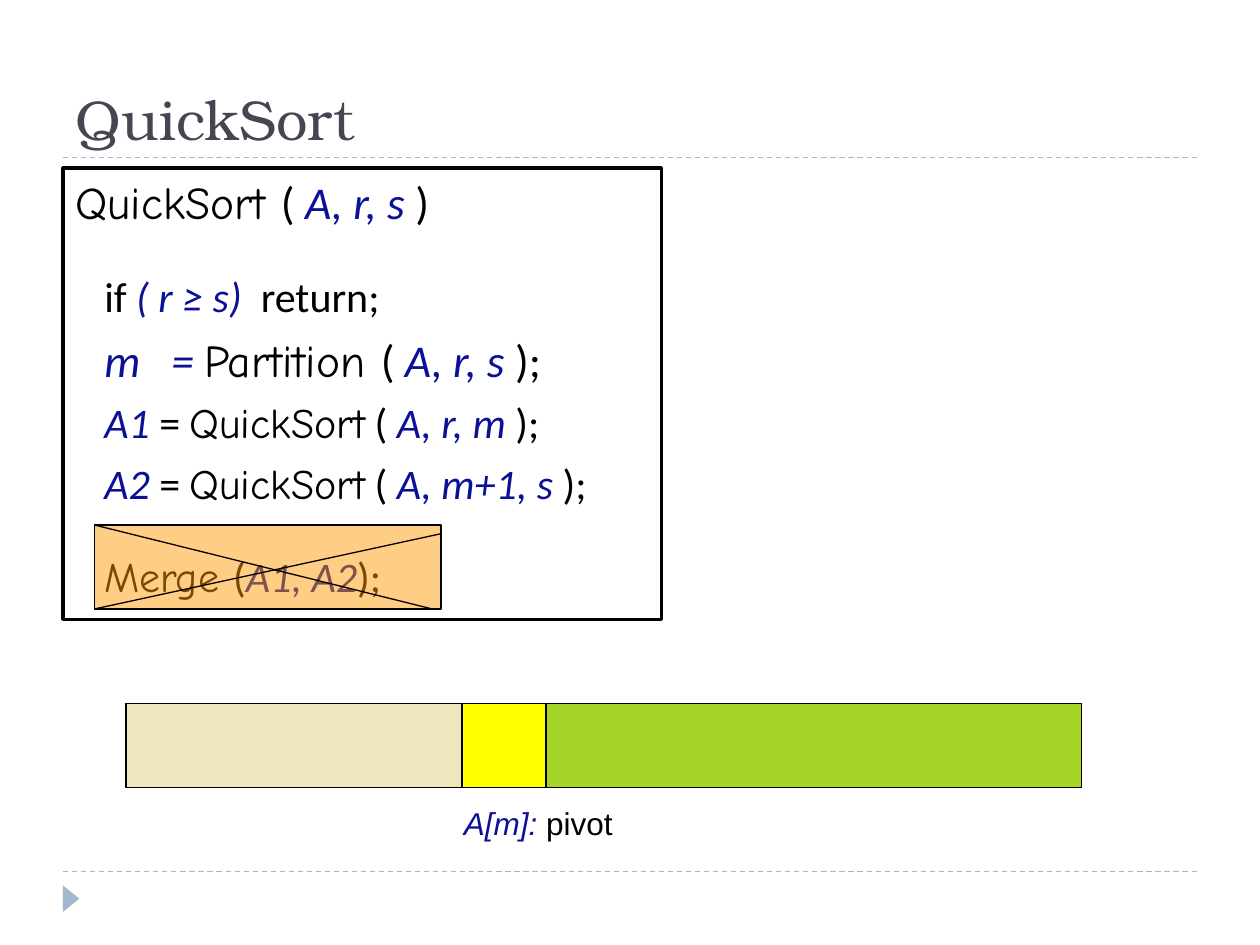
from dataclasses import dataclass

from lxml.etree import SubElement
from pptx import Presentation
from pptx.dml.color import RGBColor
from pptx.enum.dml import MSO_LINE
from pptx.enum.shapes import MSO_CONNECTOR, MSO_SHAPE
from pptx.enum.text import MSO_ANCHOR
from pptx.oxml.ns import qn
from pptx.util import Pt


@dataclass(frozen=True)
class Theme:
    """Colours, fonts and type sizes of the slide."""
    ink: str = "000000"
    heading: str = "464653"
    variable: str = "0B1196"
    rule: str = "9FB8CD"
    whole: str = "CCFFCC"
    smaller: str = "FFCC99"
    pivot: str = "FFFF00"
    larger: str = "99CC00"
    crossed: str = "FF9900"
    heading_font: str = "TeX Gyre Bonum"
    name_font: str = "Comic Neue"
    code_font: str = "Calibri"
    label_font: str = "Arial"
    heading_size: int = 32
    large_size: int = 26
    code_size: int = 24
    label_size: int = 18


THEME = Theme()
INDENT = 16.5


def add_run(paragraph, text, *, size, font=THEME.code_font, color=THEME.ink,
            italic=False, tracking=0):
    """Append text to a paragraph in the given format."""
    run = paragraph.add_run()
    run.text = text
    run.font.size = Pt(size)
    run.font.name = font
    run.font.italic = italic
    run.font.color.rgb = RGBColor.from_string(color)
    if tracking:
        run._r.get_or_add_rPr().set("spc", str(round(tracking * 100)))


def add_variable(paragraph, text, *, size, **style):
    """Append text in the style of a variable."""
    add_run(paragraph, text, size=size, color=THEME.variable, italic=True, **style)


def add_name(paragraph, text, *, size):
    """Append the name of a procedure."""
    add_run(paragraph, text, size=size, font=THEME.name_font)


def add_box(slide, box, *, kind=MSO_SHAPE.RECTANGLE, fill=None, opacity=100,
            line=THEME.ink, width=0.75):
    """Add a preset shape with the given fill and outline."""
    shape = slide.shapes.add_shape(kind, *map(Pt, box))
    shape.shadow.inherit = False
    if fill:
        shape.fill.solid()
        shape.fill.fore_color.rgb = RGBColor.from_string(fill)
        if opacity < 100:
            color = shape.fill._xPr.find(qn("a:solidFill"))[0]
            SubElement(color, qn("a:alpha")).set("val", str(opacity * 1000))
    else:
        shape.fill.background()
    if line:
        shape.line.color.rgb = RGBColor.from_string(line)
        shape.line.width = Pt(width)
    else:
        shape.line.fill.background()
    return shape


def add_line(slide, start, end, *, color=THEME.ink, dash=None):
    """Add a thin straight line between two points."""
    line = slide.shapes.add_connector(
        MSO_CONNECTOR.STRAIGHT, *map(Pt, (*start, *end)))
    line.line.color.rgb = RGBColor.from_string(color)
    line.line.width = Pt(0.75)
    if dash:
        line.line.dash_style = dash
    SubElement(line._element.spPr, qn("a:effectLst"))


def add_text_frame(slide, box, anchor=MSO_ANCHOR.TOP):
    """Add a wrapping text box and return its text frame."""
    frame = slide.shapes.add_textbox(*map(Pt, box)).text_frame
    frame.word_wrap = True
    frame.vertical_anchor = anchor
    return frame


def draw_frame(slide, box):
    """Draw the dashed rules at top and bottom and the corner marker."""
    left, top, width, height = box
    for y in (top + height, top):
        add_line(slide, (left, y), (left + width, y), color=THEME.rule,
                 dash=MSO_LINE.DASH)
    marker = add_box(slide, (left - 2.9, top + height + 10.8, 15.1, 9.4),
                     kind=MSO_SHAPE.ISOSCELES_TRIANGLE, fill=THEME.rule, line=None)
    marker.rotation = 90


def draw_title(slide, box):
    """Write the slide title at the bottom of its box."""
    frame = add_text_frame(slide, box, MSO_ANCHOR.BOTTOM)
    add_run(frame.paragraphs[0], "QuickSort", size=THEME.heading_size,
            font=THEME.heading_font, color=THEME.heading)


def add_code_line(frame, before=6):
    """Start an indented line of code."""
    paragraph = frame.add_paragraph()
    paragraph.space_before = Pt(before)
    paragraph._p.get_or_add_pPr().set("marL", str(Pt(INDENT)))
    return paragraph


def draw_code(slide, box):
    """Write the algorithm in an outlined box."""
    large, size = THEME.large_size, THEME.code_size
    frame = add_text_frame(slide, box)
    add_box(slide, box, width=1.75)

    header = frame.paragraphs[0]
    header.space_before = Pt(6)
    add_name(header, "QuickSort ", size=large)
    add_run(header, "( ", size=large)
    add_variable(header, "A, r, s ", size=large)
    add_run(header, ")", size=large)

    guard = add_code_line(frame, before=24)
    add_run(guard, "if ", size=size)
    add_variable(guard, "( r ≥ s)", size=size)
    add_run(guard, " ", size=size, tracking=5.4)
    add_run(guard, "return;", size=size)

    partition = add_code_line(frame)
    add_variable(partition, "m", size=large)
    add_variable(partition, " ", size=large, tracking=11.8)
    add_variable(partition, "= ", size=large)
    add_name(partition, "Partition ", size=large)
    add_run(partition, "( ", size=large)
    add_variable(partition, "A, r, s ", size=large)
    add_run(partition, ");", size=large)

    for part, arguments in (("A1", "A, r, m "), ("A2", "A, m+1, s ")):
        call = add_code_line(frame)
        add_variable(call, part, size=size)
        add_run(call, " = ", size=size)
        add_name(call, "QuickSort", size=size)
        add_run(call, " ( ", size=size)
        add_variable(call, arguments, size=size)
        add_run(call, ");", size=size)

    merge = add_code_line(frame, before=24)
    add_name(merge, "Merge ", size=size)
    add_run(merge, "(", size=size)
    add_variable(merge, "A1, A2", size=size)
    add_run(merge, ");", size=size)


def draw_array(slide, box):
    """Draw the partitioned array and label its pivot."""
    left, top, width, height = box
    add_box(slide, box, fill=THEME.whole, opacity=56)
    pivot_left = left + 192
    larger_left = pivot_left + height
    add_box(slide, (pivot_left, top, height, height), fill=THEME.pivot)
    add_box(slide, (left, top, 192, height), fill=THEME.smaller, opacity=49)
    add_box(slide, (larger_left, top, left + width - larger_left, height),
            fill=THEME.larger, opacity=83)
    label = add_text_frame(slide, (pivot_left - 6, top + height + 6, 204, 36))
    style = {"size": THEME.label_size, "font": THEME.label_font}
    add_variable(label.paragraphs[0], "A[m]: ", **style)
    add_run(label.paragraphs[0], "pivot", **style)


def draw_cross_out(slide, box):
    """Cover a box with a tint and cross it out."""
    left, top, width, height = box
    right, bottom = left + width, top + height
    add_box(slide, box, fill=THEME.crossed, opacity=48)
    add_line(slide, (left, top), (right - 5, bottom))
    add_line(slide, (left, bottom), (right, top + 5))


def main():
    """Build the slide and save it."""
    deck = Presentation()
    deck.slide_width, deck.slide_height = Pt(720), Pt(540)
    slide = deck.slides.add_slide(deck.slide_layouts[6])
    draw_frame(slide, (36, 90, 648, 408))
    draw_title(slide, (36, 12, 648, 78))
    draw_code(slide, (36, 96, 342, 258))
    draw_array(slide, (72, 402, 546, 48))
    draw_cross_out(slide, (54, 300, 198, 48))
    deck.save("out.pptx")


if __name__ == "__main__":
    main()
